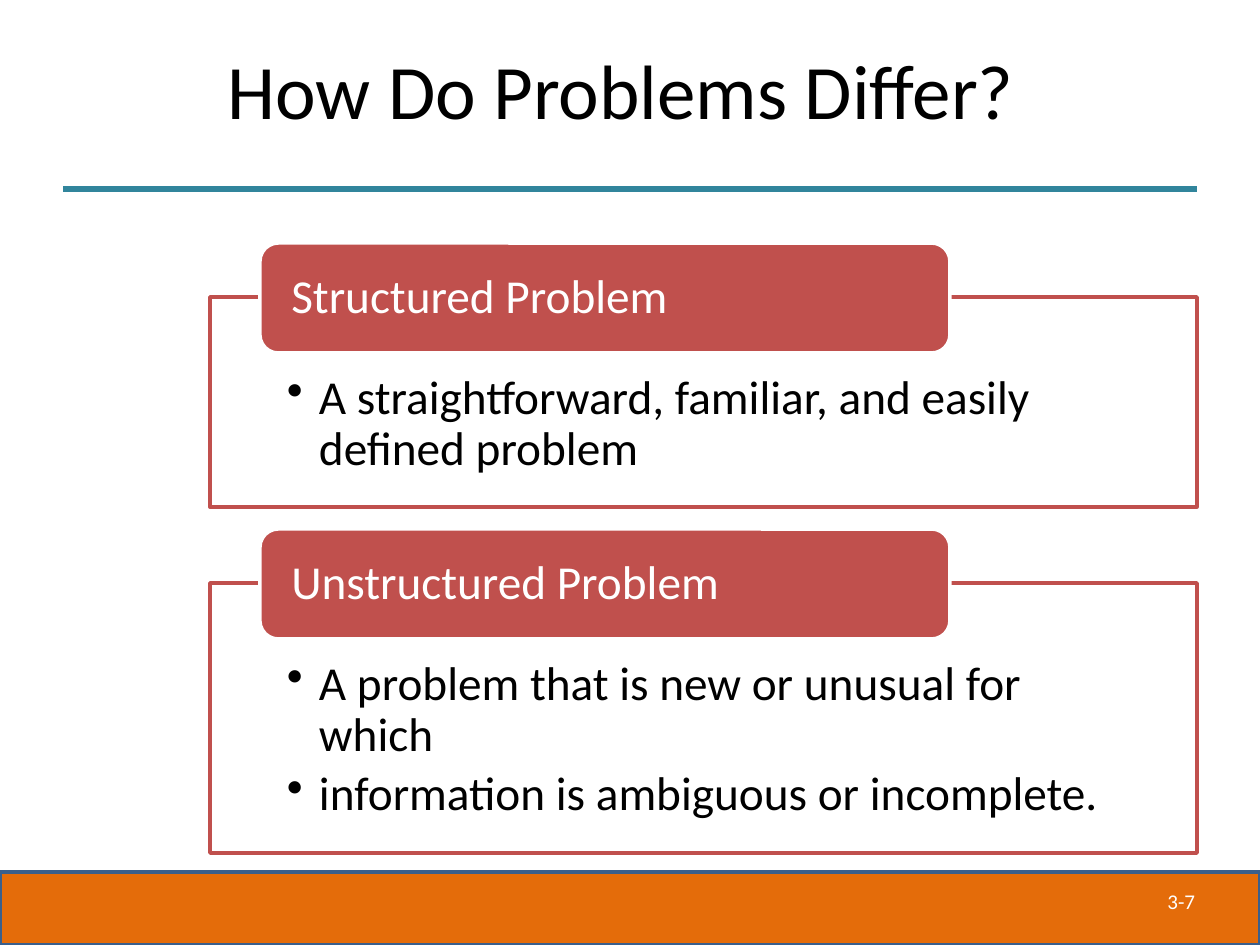
from dataclasses import dataclass

from lxml.etree import SubElement
from pptx import Presentation
from pptx.dml.color import RGBColor
from pptx.enum.shapes import MSO_CONNECTOR, MSO_SHAPE
from pptx.enum.text import MSO_ANCHOR as Anchor, PP_ALIGN as Align
from pptx.oxml.ns import qn
from pptx.util import Emu, Pt

EMU_PER_PX = 914400 / 126
WHITE = RGBColor(0xFF, 0xFF, 0xFF)
BLACK = RGBColor(0x00, 0x00, 0x00)
RED = RGBColor(0xC0, 0x50, 0x4D)
ORANGE = RGBColor(0xE4, 0x6C, 0x0A)
BLUE = RGBColor(0x3A, 0x5F, 0x8C)
TEAL = RGBColor(0x31, 0x85, 0x9C)
FONT = "Calibri"
PANEL_LEFT, PANEL_WIDTH = 210, 987
HEADING_LEFT, HEADING_WIDTH, HEADING_HEIGHT = 260, 690, 110
HEADING_RISE = 54
BULLET_INDENT = 32


@dataclass(frozen=True)
class Box:
    left: int
    top: int
    width: int
    height: int

    def emu(self) -> tuple[Emu, ...]:
        return tuple(px(n) for n in (self.left, self.top, self.width, self.height))


@dataclass(frozen=True)
class Problem:
    heading: str
    points: tuple[str, ...]
    top: int
    height: int


PROBLEMS = (
    Problem(
        "Structured Problem",
        ("A straightforward, familiar, and easily defined problem",),
        297,
        210,
    ),
    Problem(
        "Unstructured Problem",
        (
            "A problem that is new or unusual for which",
            "information is ambiguous or incomplete.",
        ),
        583,
        270,
    ),
)


def px(length: int) -> Emu:
    return Emu(round(length * EMU_PER_PX))


def add_run(paragraph, text: str, size: int, color: RGBColor) -> None:
    run = paragraph.add_run()
    run.text = text
    run.font.name = FONT
    run.font.size = Pt(size)
    run.font.color.rgb = color


def add_block(slide, preset, box: Box, fill: RGBColor, line: RGBColor):
    shape = slide.shapes.add_shape(preset, *box.emu())
    shape.shadow.inherit = False
    shape.fill.solid()
    shape.fill.fore_color.rgb = fill
    shape.line.color.rgb = line
    shape.line.width = Pt(2)
    return shape


def set_frame(shape, anchor, left: int, top: int, right: int, bottom: int):
    frame = shape.text_frame
    frame.word_wrap = True
    frame.vertical_anchor = anchor
    frame.margin_left, frame.margin_top = px(left), px(top)
    frame.margin_right, frame.margin_bottom = px(right), px(bottom)
    return frame


def add_bullet(paragraph) -> None:
    properties = paragraph._p.get_or_add_pPr()
    properties.set("marL", str(px(BULLET_INDENT)))
    properties.set("indent", str(-px(BULLET_INDENT)))
    SubElement(properties, qn("a:buChar")).set("char", "•")


def add_problem(slide, problem: Problem) -> None:
    panel_box = Box(PANEL_LEFT, problem.top, PANEL_WIDTH, problem.height)
    panel = add_block(slide, MSO_SHAPE.RECTANGLE, panel_box, WHITE, RED)
    panel_color = panel.fill._xPr.find(qn("a:solidFill"))[0]
    SubElement(panel_color, qn("a:alpha")).set("val", "90000")
    frame = set_frame(panel, Anchor.TOP, 77, 77, 77, 26)
    for index, point in enumerate(problem.points):
        paragraph = frame.add_paragraph() if index else frame.paragraphs[0]
        add_bullet(paragraph)
        paragraph.level = 1
        paragraph.alignment = Align.LEFT
        paragraph.line_spacing = 0.9
        paragraph.space_after = Pt(4.5)
        add_run(paragraph, point, 27, BLACK)

    heading_box = Box(
        HEADING_LEFT, problem.top - HEADING_RISE, HEADING_WIDTH, HEADING_HEIGHT
    )
    heading = add_block(slide, MSO_SHAPE.ROUNDED_RECTANGLE, heading_box, RED, WHITE)
    paragraph = set_frame(heading, Anchor.MIDDLE, 26, 0, 26, 0).paragraphs[0]
    paragraph.alignment = Align.LEFT
    paragraph.line_spacing = 0.9
    add_run(paragraph, problem.heading, 27, WHITE)


def add_rule(slide, left: int, right: int, y: int) -> None:
    rule = slide.shapes.add_connector(
        MSO_CONNECTOR.STRAIGHT, px(left), px(y), px(right), px(y)
    )
    rule.line.color.rgb = TEAL
    rule.line.width = Pt(3.5)
    SubElement(rule._element.spPr, qn("a:effectLst"))


def add_title(slide, text: str) -> None:
    title = slide.shapes.add_textbox(*Box(63, 10, 1134, 158).emu())
    paragraph = set_frame(title, Anchor.MIDDLE, 13, 6, 13, 6).paragraphs[0]
    paragraph.alignment = Align.CENTER
    add_run(paragraph, text, 44, BLACK)


def add_page_number(slide, text: str) -> None:
    number = slide.shapes.add_textbox(*Box(1155, 882, 67, 38).emu())
    number.text_frame.word_wrap = False
    add_run(number.text_frame.paragraphs[0], text, 12, WHITE)


def main() -> None:
    presentation = Presentation()
    presentation.slide_width = px(1260)
    presentation.slide_height = px(945)
    slide = presentation.slides.add_slide(presentation.slide_layouts[6])
    add_block(slide, MSO_SHAPE.RECTANGLE, Box(0, 872, 1260, 73), ORANGE, BLUE)
    add_rule(slide, 63, 1197, 189)
    add_page_number(slide, "3-7")
    add_title(slide, "How Do Problems Differ? ")
    for problem in PROBLEMS:
        add_problem(slide, problem)
    presentation.save("out.pptx")


if __name__ == "__main__":
    main()
